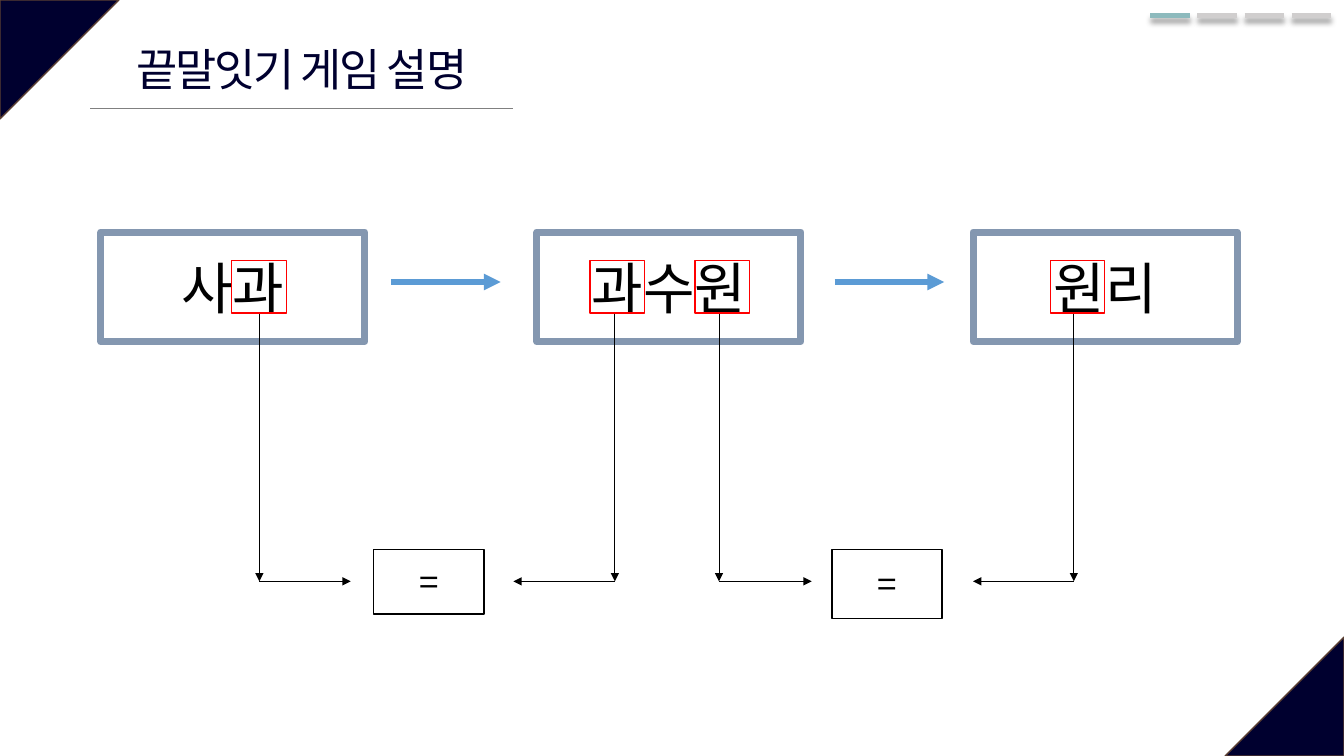
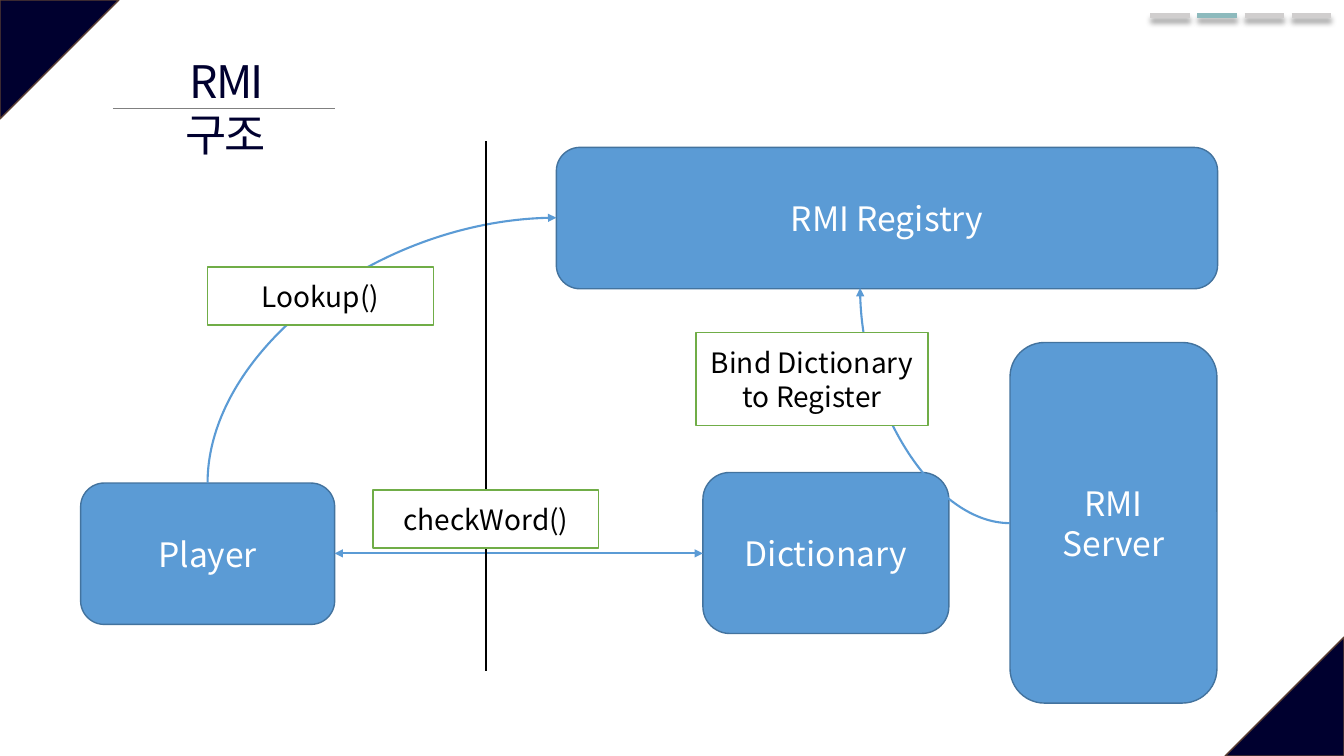
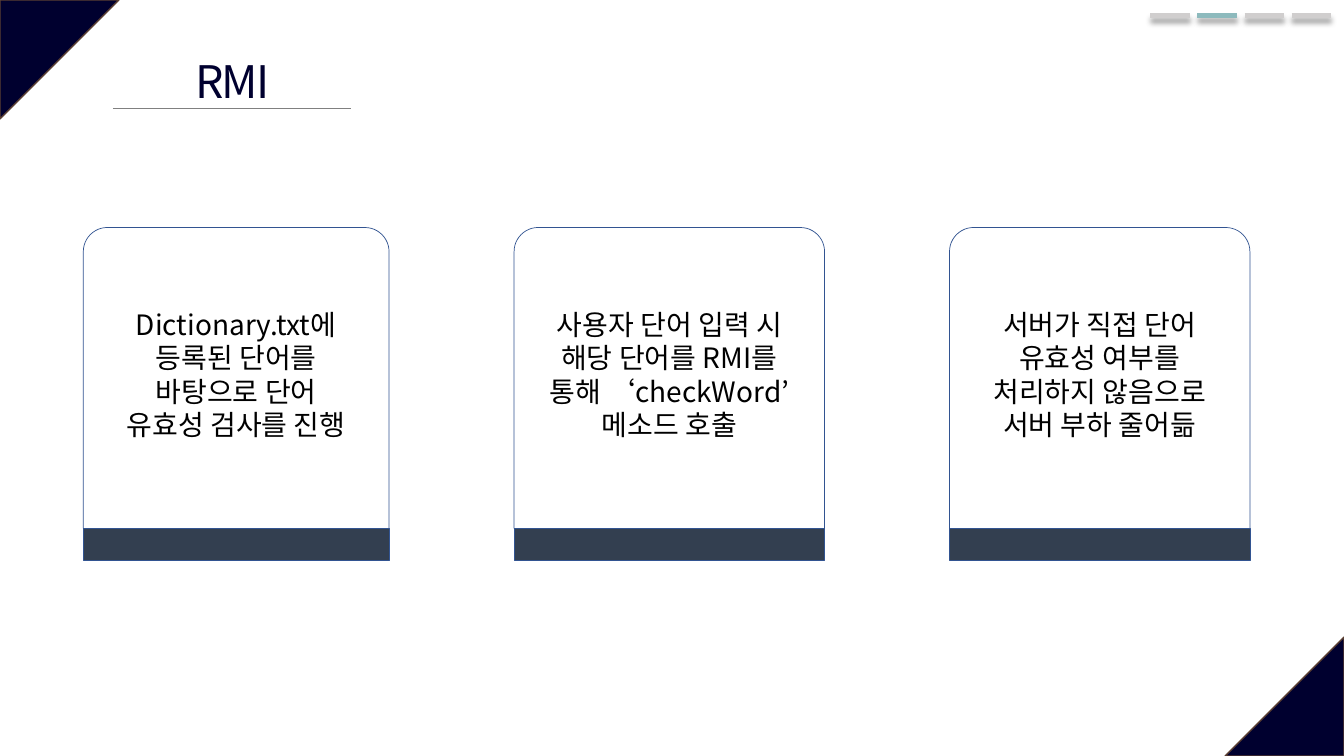
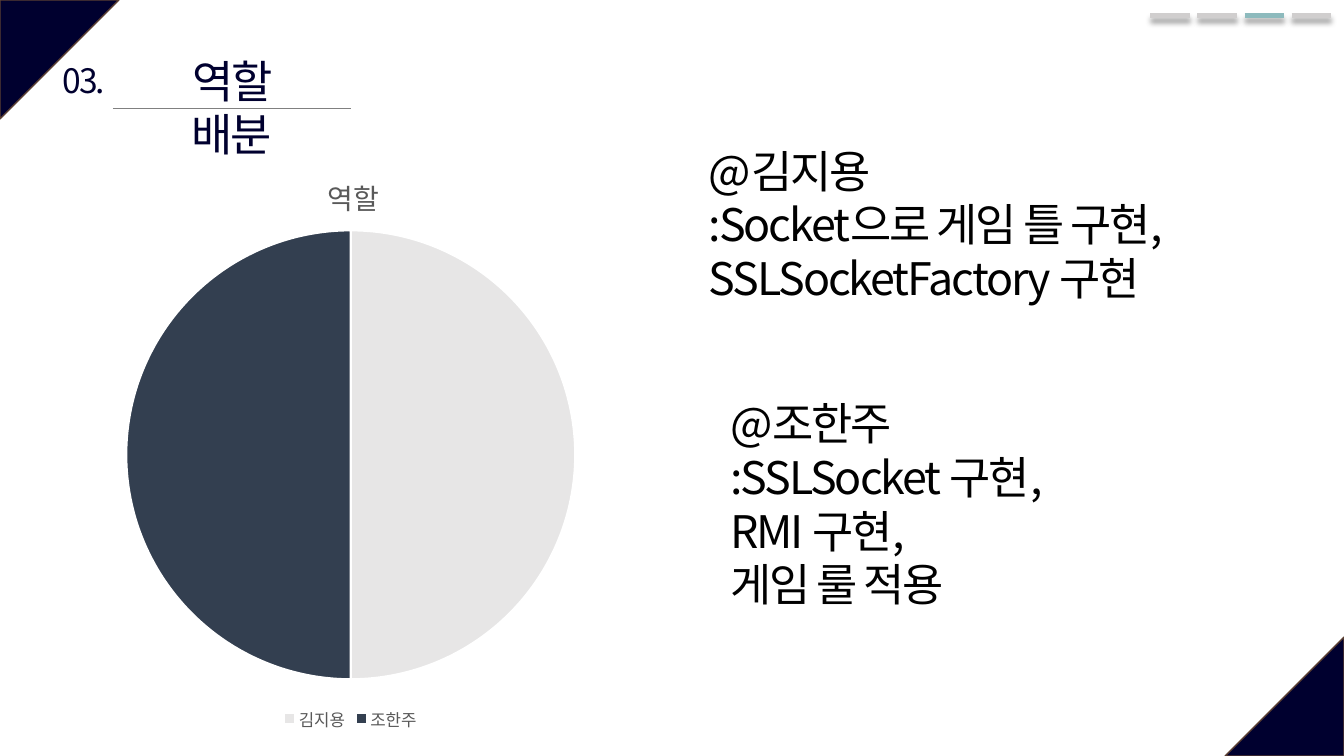
from lxml import etree
from pptx import Presentation
from pptx.chart.data import CategoryChartData
from pptx.dml.color import RGBColor
from pptx.enum.chart import XL_CHART_TYPE, XL_LEGEND_POSITION
from pptx.enum.shapes import MSO_CONNECTOR, MSO_SHAPE
from pptx.enum.text import MSO_ANCHOR, PP_ALIGN
from pptx.oxml.ns import qn
from pptx.util import Inches, Pt

STRAIGHT, CURVE = MSO_CONNECTOR.STRAIGHT, MSO_CONNECTOR.CURVE
RECT, ROUNDED = MSO_SHAPE.RECTANGLE, MSO_SHAPE.ROUNDED_RECTANGLE
TAB, TRIANGLE = MSO_SHAPE.ROUND_2_SAME_RECTANGLE, MSO_SHAPE.ISOSCELES_TRIANGLE
LEFT, CENTER = PP_ALIGN.LEFT, PP_ALIGN.CENTER
TOP, MIDDLE = MSO_ANCHOR.TOP, MSO_ANCHOR.MIDDLE
PIE, BOTTOM = XL_CHART_TYPE.PIE, XL_LEGEND_POSITION.BOTTOM

WIDTH, HEIGHT = Inches(13.333), Inches(7.5)
FONT = "Noto Sans CJK KR"
LEADING = 1.2
COLORS = {
    "navy": "00002F", "corner_edge": "5B3F33", "rule": "808080",
    "teal": "8DBABD", "gray": "D0CECE", "frame": "8497B0",
    "blue": "5B9BD5", "blue_edge": "43739E", "green": "70AD47",
    "red": "FF0000", "black": "000000", "white": "FFFFFF",
    "card_edge": "325491", "slate": "333F50", "pale": "E7E6E6",
    "label": "595959",
}


def color(name):
    """Return the named colour."""
    return RGBColor.from_string(COLORS[name])


def across(share):
    """Turn a percentage of the slide width into a length."""
    return int(WIDTH * share / 100)


def down(share):
    """Turn a percentage of the slide height into a length."""
    return int(HEIGHT * share / 100)


def place(left, top, width, height):
    """Turn a box in percentages into lengths."""
    return across(left), down(top), across(width), down(height)


def apply(target, formats):
    """Set every attribute of a format dict."""
    for name, value in formats.items():
        setattr(target, name, value)


def style_font(font, size, tone):
    """Give a font the deck's typeface, a size and a colour."""
    apply(font, {"name": FONT, "size": Pt(size)})
    font.color.rgb = color(tone)


def write(shape, lines, size, tone, tracking=0, align=CENTER, **frame_format):
    """Write one paragraph per line into a shape."""
    frame = shape.text_frame
    apply(frame, {"word_wrap": True, **frame_format})
    frame.text = "\n".join(lines)
    for paragraph in frame.paragraphs:
        apply(paragraph, {"alignment": align, "line_spacing": Pt(size * LEADING)})
        for run in paragraph.runs:
            style_font(run.font, size, tone)
            properties = run.font._element
            etree.SubElement(properties, qn("a:ea"), typeface=FONT)
            if tracking:
                properties.set("spc", str(int(tracking * 100)))


def panel(slide, kind, box, fill, edge, weight, adjust=(), rotation=0):
    """Add a preset shape with a fill and an outline."""
    shape = slide.shapes.add_shape(kind, *place(*box))
    shape.shadow.inherit = False
    if fill:
        shape.fill.solid()
        shape.fill.fore_color.rgb = color(fill)
    else:
        shape.fill.background()
    shape.line.color.rgb = color(edge)
    shape.line.width = Pt(weight)
    for index, value in enumerate(adjust):
        shape.adjustments[index] = value
    shape.rotation = rotation
    return shape


def heading(slide, lines, box, size=32, tone="navy", **formats):
    """Add tightly tracked text in a plain box."""
    shape = slide.shapes.add_textbox(*place(*box))
    write(shape, lines, size, tone, tracking=-1.5, **formats)


def link(slide, start, end, tone, weight, ends=(), kind=STRAIGHT, shadow=False):
    """Draw a line between two points, with arrowheads at the named ends."""
    connector = slide.shapes.add_connector(
        kind, across(start[0]), down(start[1]), across(end[0]), down(end[1]))
    connector.line.color.rgb = color(tone)
    connector.line.width = Pt(weight)
    properties = connector._element.spPr
    outline = properties.find(qn("a:ln"))
    for name in ends:
        etree.SubElement(outline, qn(f"a:{name}"), type="triangle")
    effects = etree.SubElement(properties, qn("a:effectLst"))
    if shadow:
        cast = etree.SubElement(effects, qn("a:outerShdw"), blurRad=str(Pt(4)),
                                dist=str(Pt(3)), dir="5400000")
        shade = etree.SubElement(cast, qn("a:srgbClr"), val=COLORS["black"])
        etree.SubElement(shade, qn("a:alpha"), val="40000")
    if kind == CURVE:
        properties.find(qn("a:prstGeom")).set("prst", "curvedConnector2")


def start_slide(deck, section, title, title_box, rule, **title_format):
    """Add a slide with its corners, progress marks, rule and title."""
    slide = deck.slides.add_slide(deck.slide_layouts[6])
    width, height = 8.85, 15.73
    for left, top, rotation in ((0, 0, 90), (100 - width, 100 - height, 270)):
        panel(slide, TRIANGLE, (left, top, width, height), "navy",
              "corner_edge", 1, (0,), rotation)
    for index in range(4):
        left = 85.6 + 3.5 * index
        link(slide, (left, 2.1), (left + 2.95, 2.1),
             "teal" if index == section else "gray", 3.5, shadow=True)
    link(slide, (rule[0], 14.4), (rule[1], 14.4), "rule", 0.5)
    heading(slide, [title], title_box, **title_format)
    return slide


def build_game(deck):
    """Explain the word chain game."""
    slide = start_slide(deck, 0, "끝말잇기 게임 설명", (7.35, 4.8, 30.2, 8.5),
                        (6.7, 38.2), word_wrap=False)
    for index, word in enumerate(("사과", "과수원", "원리")):
        card = panel(slide, RECT, (7.5 + 32.45 * index, 30.7, 19.65, 14.5),
                     "white", "frame", 5)
        write(card, [word], 40, "black", vertical_anchor=MIDDLE)
    for left in (29.1, 62.1):
        link(slide, (left, 37.3), (left + 8.15, 37.3), "blue", 4, ["tailEnd"])
    syllables = ((17.25, 19.3, 26.1), (43.9, 45.75, 38.2),
                 (51.7, 53.5, 60.4), (78.15, 79.9, 72.4))
    for left, stem, target in syllables:
        panel(slide, RECT, (left, 34.5, 4.05, 6.9), None, "red", 1)
        corner = (stem, 76.9)
        link(slide, (stem, 41.5), corner, "black", 0.5, ["tailEnd"])
        link(slide, corner, (target, 76.9), "black", 0.5, ["tailEnd"])
    for left, height in ((27.8, 8.5), (61.9, 9.1)):
        match = panel(slide, RECT, (left, 72.7, 8.2, height), "white", "black", 1)
        write(match, ["="], 25, "black", vertical_anchor=MIDDLE)


def build_structure(deck):
    """Show how the RMI parts call each other."""
    slide = start_slide(deck, 1, "RMI 구조", (9.8, 6.4, 14, 8.5), (8.4, 24.9),
                        margin_left=Inches(0.3), margin_right=Inches(0.3))
    nodes = (
        (["Player"], (6, 63.9, 18.9, 18.7)),
        (["RMI Registry"], (41.4, 19.5, 49.2, 18.7)),
        (["Dictionary"], (52.3, 62.5, 18.3, 21.3)),
        (["RMI", "Server"], (75.15, 45.3, 15.4, 47.7)),
    )
    for lines, box in nodes:
        node = panel(slide, ROUNDED, box, "blue", "blue_edge", 1)
        write(node, lines, 24, "white", vertical_anchor=MIDDLE)
    link(slide, (75.15, 69.2), (64, 38.1), "blue", 1.5, ["tailEnd"], CURVE)
    link(slide, (41.4, 28.8), (15.45, 63.9), "blue", 1.5, ["headEnd"], CURVE)
    link(slide, (24.9, 73.2), (52.3, 73.2), "blue", 1.5, ["headEnd", "tailEnd"])
    link(slide, (36.15, 18.7), (36.15, 88.7), "black", 1.5)
    calls = (
        ("checkWord()", (27.75, 64.8, 16.8, 7.7)),
        ("Lookup()", (15.45, 35.3, 16.8, 7.7)),
        ("Bind Dictionary to Register", (51.8, 44, 17.25, 12.3)),
    )
    for text, box in calls:
        call = panel(slide, RECT, box, "white", "green", 1)
        write(call, [text], 20, "black", vertical_anchor=MIDDLE)


def build_benefits(deck):
    """List what RMI does in three cards."""
    slide = start_slide(deck, 1, "RMI", (13.7, 6.4, 7.2, 8.5), (8.4, 26.1),
                        word_wrap=False)
    cards = (
        (6.2, 22.75, ["Dictionary.txt에", "등록된 단어를", "바탕으로 단어",
                      "유효성 검사를 진행"]),
        (38.25, 23.1, ["사용자 단어 입력 시 해당 단어를 RMI를 통해 ‘checkWord’",
                       "메소드 호출"]),
        (70.65, 22.35, ["서버가 직접 단어", "유효성 여부를",
                        "처리하지 않음으로 서버 부하 줄어듦"]),
    )
    side = Inches(0.2)
    for left, width, lines in cards:
        card = panel(slide, TAB, (left, 30.1, width, 39.8), "white",
                     "card_edge", 0.5, (0.08, 0))
        write(card, lines, 20, "black", vertical_anchor=TOP,
              margin_top=Inches(0.72), margin_left=side, margin_right=side)
        panel(slide, RECT, (left, 69.9, width, 4.2), "slate", "card_edge", 0.5)


def fix_layout(parent, **shares):
    """Fix the place of a chart part by shares of the chart."""
    layout = parent.find(qn("c:layout"))
    if layout is None:
        layout = etree.Element(qn("c:layout"))
        text = parent.find(qn("c:tx"))
        parent.insert(0 if text is None else 1, layout)
    manual = etree.SubElement(layout, qn("c:manualLayout"))
    if "w" in shares:
        etree.SubElement(manual, qn("c:layoutTarget"), val="inner")
    for axis in "xy":
        etree.SubElement(manual, qn(f"c:{axis}Mode"), val="edge")
    for name, share in shares.items():
        etree.SubElement(manual, qn(f"c:{name}"), val=str(share))


def add_role_chart(slide, box):
    """Add the pie chart of the two roles."""
    data = CategoryChartData()
    data.categories = ["김지용", "조한주"]
    data.add_series("역할", (50, 50))
    chart = slide.shapes.add_chart(PIE, *place(*box), data).chart
    style_font(chart.font, 10, "black")
    apply(chart, {"has_title": True, "has_legend": True})
    title = chart.chart_title
    title.text_frame.text = "역할"
    title_font = title.text_frame.paragraphs[0].runs[0].font
    style_font(title_font, 20, "label")
    title_font.bold = False
    apply(chart.legend, {"position": BOTTOM, "include_in_layout": False})
    style_font(chart.legend.font, 12, "label")
    plot = chart.plots[0]
    plot.vary_by_categories = True
    for index, tone in enumerate(("pale", "slate")):
        wedge = plot.series[0].points[index].format
        wedge.fill.solid()
        wedge.fill.fore_color.rgb = color(tone)
        wedge.line.color.rgb = color("white")
        wedge.line.width = Pt(1.5)
    fix_layout(title._element, x=0.46, y=0.05)
    fix_layout(chart._chartSpace.chart.plotArea, x=0.18, y=0.15, w=0.64, h=0.76)


def build_roles(deck):
    """Show how the work was shared."""
    slide = start_slide(deck, 2, "역할 배분", (10.35, 6.4, 13.8, 8.5), (8.4, 26.1),
                        margin_left=Inches(0.3), margin_right=Inches(0.3))
    heading(slide, ["03."], (3.75, 7.3, 5, 6.7), size=24, word_wrap=False)
    add_role_chart(slide, (0, 18.3, 52.2, 79))
    members = (
        (["@김지용", ":Socket으로 게임 틀 구현,", "SSLSocketFactory 구현"],
         (52, 18.3, 42.3, 22.9)),
        (["@조한주", ":SSLSocket 구현,", "RMI 구현,", "게임 룰 적용"],
         (53.6, 51.7, 26.25, 30.1)),
    )
    for lines, box in members:
        heading(slide, lines, box, tone="black", align=LEFT)


def main():
    """Build the deck and save it."""
    deck = Presentation()
    apply(deck, {"slide_width": WIDTH, "slide_height": HEIGHT})
    for build in (build_game, build_structure, build_benefits, build_roles):
        build(deck)
    deck.save("out.pptx")


if __name__ == "__main__":
    main()
